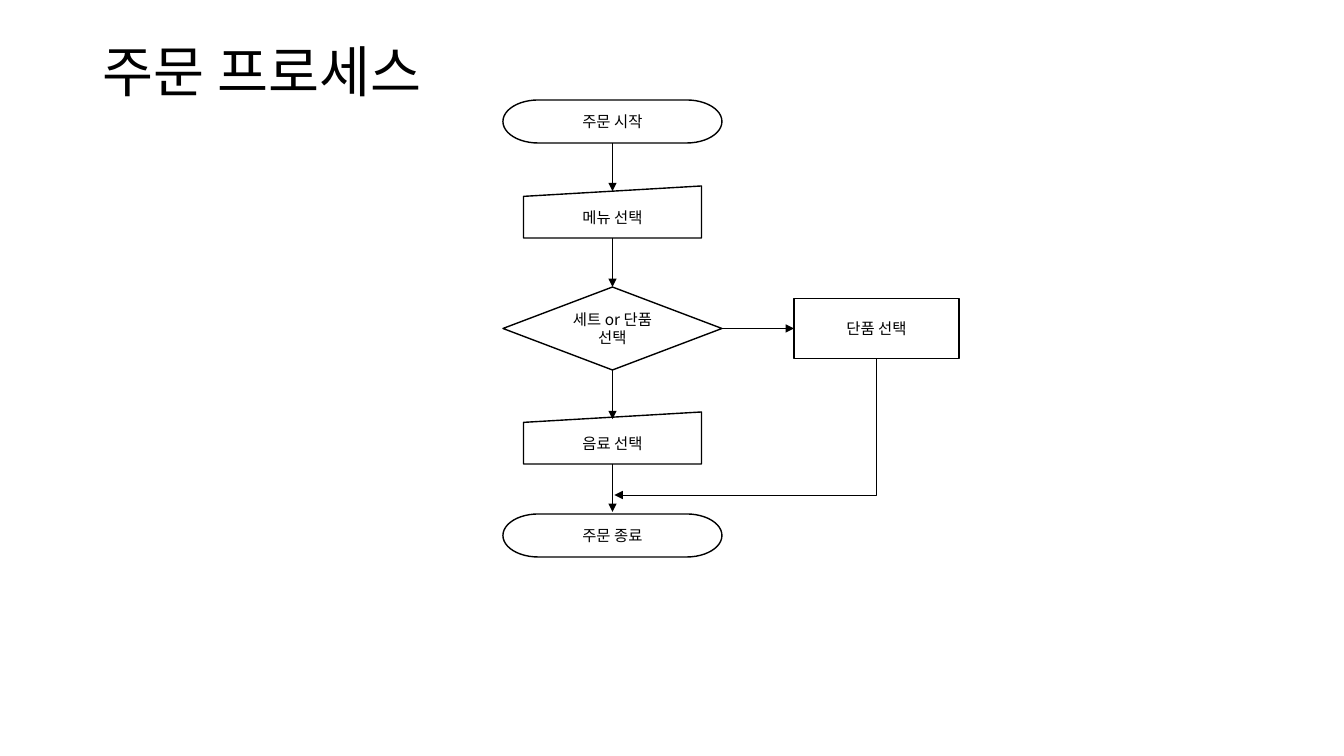
from lxml import etree
from pptx import Presentation
from pptx import util as u
from pptx.dml.color import RGBColor
from pptx.enum import shapes, text
from pptx.oxml.ns import qn

FONT = "Noto Sans CJK KR"
BLACK, WHITE = "000000", "FFFFFF"
Kind = shapes.MSO_SHAPE


def px(length):
    return u.Emu(round(length * 914400 / 100.8))


def colour(value):
    return RGBColor.from_string(value)


def write(frame, words, size, align):
    frame.word_wrap = True
    frame.vertical_anchor = text.MSO_ANCHOR.MIDDLE
    paragraph = frame.paragraphs[0]
    paragraph.text = words
    paragraph.alignment = align
    font = paragraph.font
    font.name, font.size = FONT, u.Pt(size)
    font.color.rgb = colour(BLACK)
    defaults = paragraph._p.pPr.find(qn("a:defRPr"))
    etree.SubElement(defaults, qn("a:ea")).set("typeface", FONT)
    return paragraph


def add_title(slide, left, top, width, height):
    title = slide.shapes.add_textbox(px(left), px(top), px(width), px(height))
    heading = write(title.text_frame, "주문 프로세스", 39.6, text.PP_ALIGN.LEFT)
    heading.line_spacing = 0.9


def add_step(slide, kind, label, center, top, width, height):
    step = slide.shapes.add_shape(
        kind, px(center - width / 2), px(top), px(width), px(height))
    step.shadow.inherit = False
    step.fill.solid()
    step.fill.fore_color.rgb = colour(WHITE)
    step.line.color.rgb = colour(BLACK)
    step.line.width = u.Pt(1)
    frame = step.text_frame
    frame.margin_left = frame.margin_right = px(6)
    write(frame, label, 11, text.PP_ALIGN.CENTER)


def add_arrow(slide, x1, y1, x2, y2, kind=shapes.MSO_CONNECTOR.STRAIGHT):
    arrow = slide.shapes.add_connector(kind, px(x1), px(y1), px(x2), px(y2))
    arrow.line.color.rgb = colour(BLACK)
    arrow.line.width = u.Pt(0.5)
    properties = arrow._element.spPr
    outline = properties.find(qn("a:ln"))
    etree.SubElement(outline, qn("a:tailEnd")).set("type", "triangle")
    etree.SubElement(properties, qn("a:effectLst"))
    return properties


def add_return_arrow(slide, x1, y1, x2, y2):
    run, drop = x1 - x2, y2 - y1
    middle_x, middle_y = (x1 + x2) / 2, (y1 + y2) / 2
    properties = add_arrow(
        slide, middle_x - drop / 2, middle_y - run / 2,
        middle_x + drop / 2, middle_y + run / 2, shapes.MSO_CONNECTOR.ELBOW)
    properties.find(qn("a:xfrm")).set("rot", "5400000")
    properties.find(qn("a:prstGeom")).set("prst", "bentConnector2")


def add_order_flow(slide, left, top, width, height):
    main_width, input_width, single_width = 219, 178, 165
    end_height, input_height, choice_height, single_height = 43, 52, 83, 60
    main = left + main_width / 2
    single = left + width - single_width / 2
    menu, choice, drink = top + 86, top + 187, top + 312
    finish = top + height - end_height
    choice_middle = choice + choice_height / 2
    single_top = choice_middle - single_height / 2

    for kind, label, center, y, w, h in [
        (Kind.FLOWCHART_TERMINATOR, "주문 시작", main, top, main_width, end_height),
        (Kind.FLOWCHART_MANUAL_INPUT, "메뉴 선택", main, menu, input_width, input_height),
        (Kind.FLOWCHART_DECISION, "세트 or 단품 선택", main, choice, main_width, choice_height),
        (Kind.RECTANGLE, "단품 선택", single, single_top, single_width, single_height),
        (Kind.FLOWCHART_MANUAL_INPUT, "음료 선택", main, drink, input_width, input_height),
        (Kind.FLOWCHART_TERMINATOR, "주문 종료", main, finish, main_width, end_height),
    ]:
        add_step(slide, kind, label, center, y, w, h)

    slant = input_height / 10
    for start, end in [
        (top + end_height, menu + slant),
        (menu + input_height, choice),
        (choice + choice_height, drink + slant + 2),
        (drink + input_height, finish - 2),
    ]:
        add_arrow(slide, main, start, main, end)
    add_arrow(slide, left + main_width, choice_middle,
              single - single_width / 2, choice_middle)
    add_return_arrow(slide, single, single_top + single_height,
                     main + 2, finish - 19)


deck = Presentation()
deck.slide_width, deck.slide_height = px(1344), px(756)
order_slide = deck.slides.add_slide(deck.slide_layouts[6])
add_title(order_slide, 93, 40, 1159, 70)
add_order_flow(order_slide, 503, 100, 456, 457)
deck.save("out.pptx")
